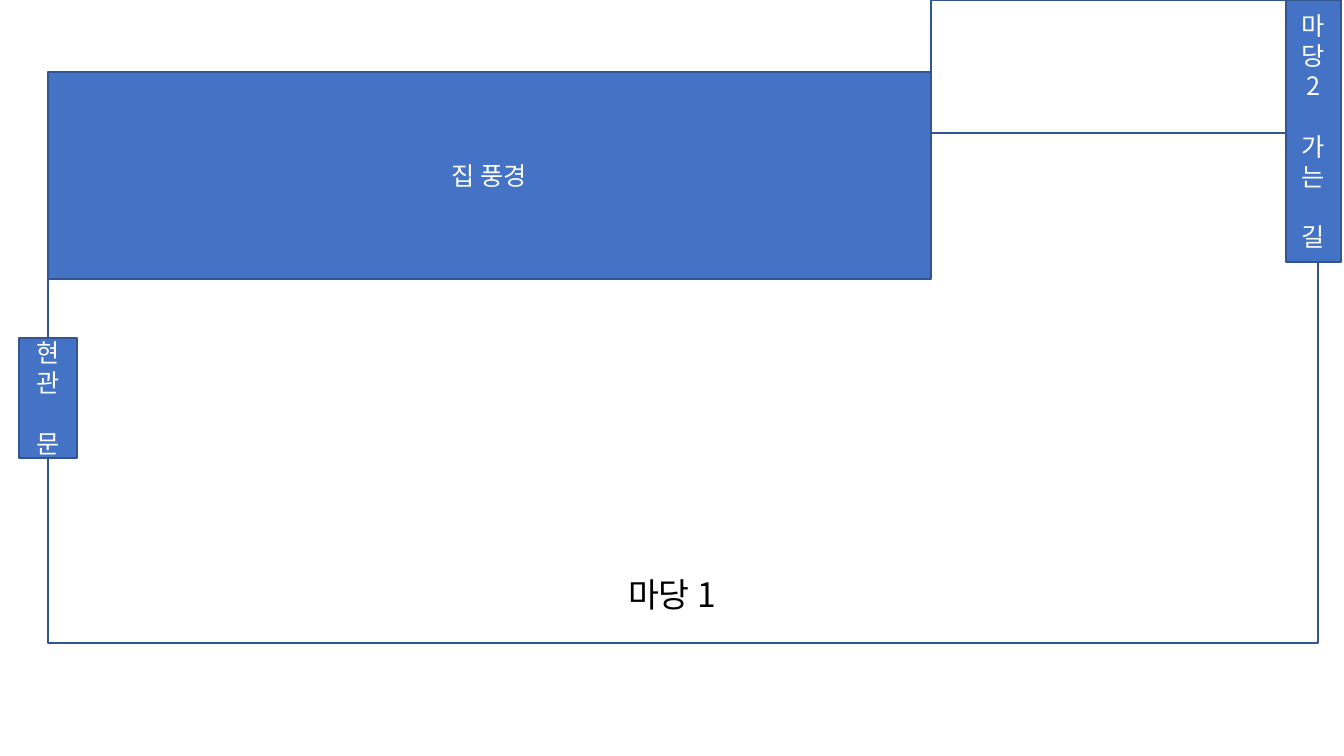
"""Draw the plan of a house and its yard."""
from lxml.etree import SubElement
from pptx import Presentation
from pptx.dml.color import RGBColor as Color
from pptx.enum.shapes import MSO_SHAPE as Shape
from pptx.enum.text import MSO_ANCHOR as Anchor, PP_ALIGN as Align
from pptx.oxml.ns import qn
from pptx.util import Pt

PX = 9071
FONT = "Noto Sans CJK KR"
BLUE, EDGE, WHITE, BLACK = "4472C4", "325491", "FFFFFF", "000000"
PITCH = Pt(21.6)


def paint(target, color):
    target.solid()
    target.fore_color.rgb = Color.from_string(color)


def write(frame, groups, size, color, pitch):
    """Write one paragraph per item, with a line's gap between groups."""
    frame.word_wrap = True
    first = True
    for group in groups:
        for place, text in enumerate(group):
            para = frame.paragraphs[0] if first else frame.add_paragraph()
            para.text = text
            para.alignment = Align.CENTER
            para.line_spacing = pitch
            if place == 0 and not first:
                para.space_before = PITCH
            para.font.size = Pt(size)
            para.font.name = FONT
            paint(para.font.fill, color)
            SubElement(para.font._element, qn("a:ea"), typeface=FONT)
            first = False


def add_room(slide, box, fill, groups=()):
    room = slide.shapes.add_shape(Shape.RECTANGLE, *(n * PX for n in box))
    room.shadow.inherit = False
    paint(room.fill, fill)
    paint(room.line.fill, EDGE)
    room.line.width = Pt(1)
    if groups:
        room.text_frame.vertical_anchor = Anchor.MIDDLE
        write(room.text_frame, groups, 18, WHITE, PITCH)


def add_label(slide, box, text):
    label = slide.shapes.add_textbox(*(n * PX for n in box))
    write(label.text_frame, [[text]], 24, BLACK, 0.9)


def main():
    deck = Presentation()
    deck.slide_width, deck.slide_height = 1344 * PX, 756 * PX
    slide = deck.slides.add_slide(deck.slide_layouts[6])
    add_room(slide, (48, 131, 1270, 512), WHITE)
    add_label(slide, (168, 574, 1008, 182), "마당 1")
    add_room(slide, (19, 338, 58, 120), BLUE, [["현", "관"], ["문"]])
    add_room(slide, (1286, 0, 55, 262), BLUE,
             [["마", "당", "2"], ["가는"], ["길"]])
    add_room(slide, (48, 72, 883, 207), BLUE, [["집 풍경"]])
    add_room(slide, (931, 0, 355, 133), WHITE)
    deck.save("out.pptx")


if __name__ == "__main__":
    main()
